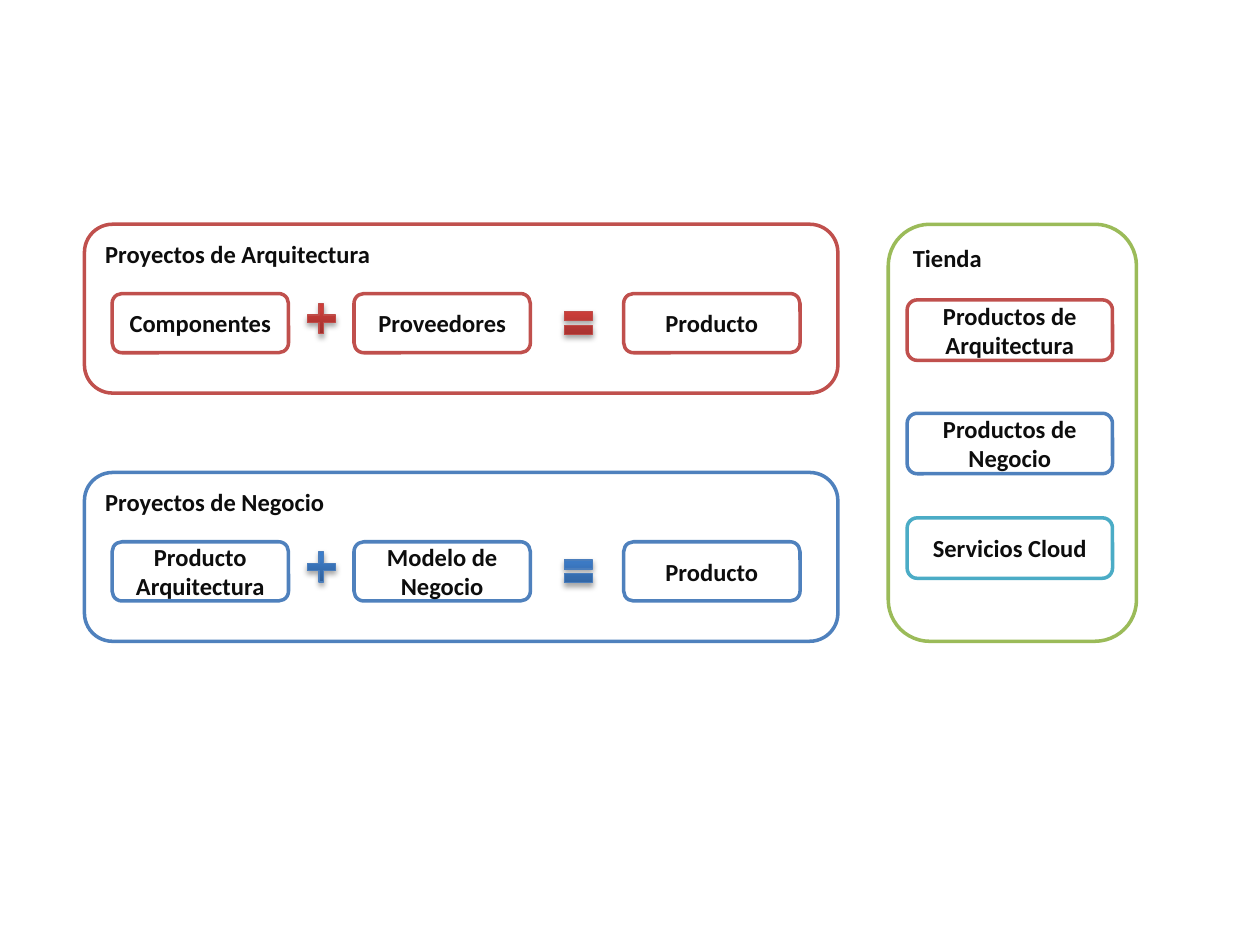
from lxml import etree
from pptx import Presentation
from pptx.dml.color import RGBColor
from pptx.enum.shapes import MSO_SHAPE
from pptx.enum.text import MSO_ANCHOR, PP_ALIGN
from pptx.oxml import parse_xml
from pptx.oxml.ns import nsdecls, qn
from pptx.util import Inches, Pt

ROUND, PLUS, EQUAL = MSO_SHAPE.ROUNDED_RECTANGLE, MSO_SHAPE.CROSS, MSO_SHAPE.MATH_EQUAL
TOP, MIDDLE = MSO_ANCHOR.TOP, MSO_ANCHOR.MIDDLE
LEFT, CENTER = PP_ALIGN.LEFT, PP_ALIGN.CENTER

RED, BLUE, GREEN, TEAL = "C0504D", "4F81BD", "9BBB59", "4BACC6"
WHITE, INK = "FFFFFF", "0D0D0D"

ROWS = [
    ("Proyectos de Arquitectura", ["Componentes", "Proveedores", "Producto"],
     RED, "BF4C48", ("9C2F2D", "CB3E3A", "CE3B37")),
    ("Proyectos de Negocio", ["Producto Arquitectura", "Modelo de Negocio", "Producto"],
     BLUE, "4B7EBC", ("2F5F99", "3D7CC7", "3A7CCB")),
]
STORE = ("Tienda", [
    ("Productos de Arquitectura", RED, 2.38),
    ("Productos de Negocio", BLUE, 3.28),
    ("Servicios Cloud", TEAL, 4.11),
])
EDGE, START, PITCH, HIGH = 0.67, 1.78, 1.97, 1.34
COLS = [0.89, 2.81, 4.95]
SIGNS = [(PLUS, 2.44, 0.22, 0.24), (EQUAL, 4.44, 0.3, 0.31)]


def color(code):
    return RGBColor.from_string(code)


def shape(group, kind, box, line, width):
    item = group.shapes.add_shape(kind, *[Inches(n) for n in box])
    item.shadow.inherit = False
    item.line.color.rgb = color(line)
    item.line.width = Pt(width)
    return item


def panel(group, box, text, line, anchor=MIDDLE, align=CENTER):
    item = shape(group, ROUND, box, line, 2)
    item.fill.solid()
    item.fill.fore_color.rgb = color(WHITE)
    frame = item.text_frame
    frame.word_wrap = True
    frame.vertical_anchor = anchor
    para = frame.paragraphs[0]
    para.text = text
    para.alignment = align
    font = para.font
    font.name, font.size, font.bold = "Calibri", Pt(14), True
    font.color.rgb = color(INK)


def sign(group, kind, box, line, tones):
    item = shape(group, kind, box, line, 0.75)
    if kind == PLUS:
        item.adjustments[0] = 0.412
    item.fill.gradient()
    props = item.element.spPr
    stops = "".join(
        f'<a:gs pos="{spot}"><a:srgbClr val="{tone}"/></a:gs>'
        for spot, tone in zip((0, 80000, 100000), tones))
    props.replace(props.find(qn("a:gradFill")), parse_xml(
        f'<a:gradFill {nsdecls("a")} rotWithShape="1"><a:gsLst>{stops}</a:gsLst>'
        '<a:lin ang="16200000" scaled="0"/></a:gradFill>'))
    glow = etree.SubElement(
        props.find(qn("a:effectLst")), qn("a:outerShdw"),
        blurRad=str(Pt(3.1)), dist=str(Pt(1.8)), dir="5400000", rotWithShape="0")
    shade = etree.SubElement(glow, qn("a:srgbClr"), val="000000")
    etree.SubElement(shade, qn("a:alpha"), val="35000")


deck = Presentation()
deck.slide_width, deck.slide_height = Inches(10), Inches(7.5)
slide = deck.slides.add_slide(deck.slide_layouts[6])

for i, (title, parts, line, rim, tones) in enumerate(ROWS):
    y = START + i * PITCH
    group = slide.shapes.add_group_shape()
    panel(group, (EDGE, y, 5.98, HIGH), title, line, TOP, LEFT)
    for x, text in zip(COLS, parts):
        panel(group, (x, y + 0.55, 1.4, 0.47), text, line)
    for kind, x, w, h in SIGNS:
        sign(group, kind, (x, y + 0.63, w, h), rim, tones)

title, goods = STORE
group = slide.shapes.add_group_shape()
panel(group, (7.05, START, 1.97, PITCH + HIGH), title, GREEN, TOP, LEFT)
for text, line, y in goods:
    panel(group, (7.2, y, 1.63, 0.48), text, line)

deck.save("out.pptx")
